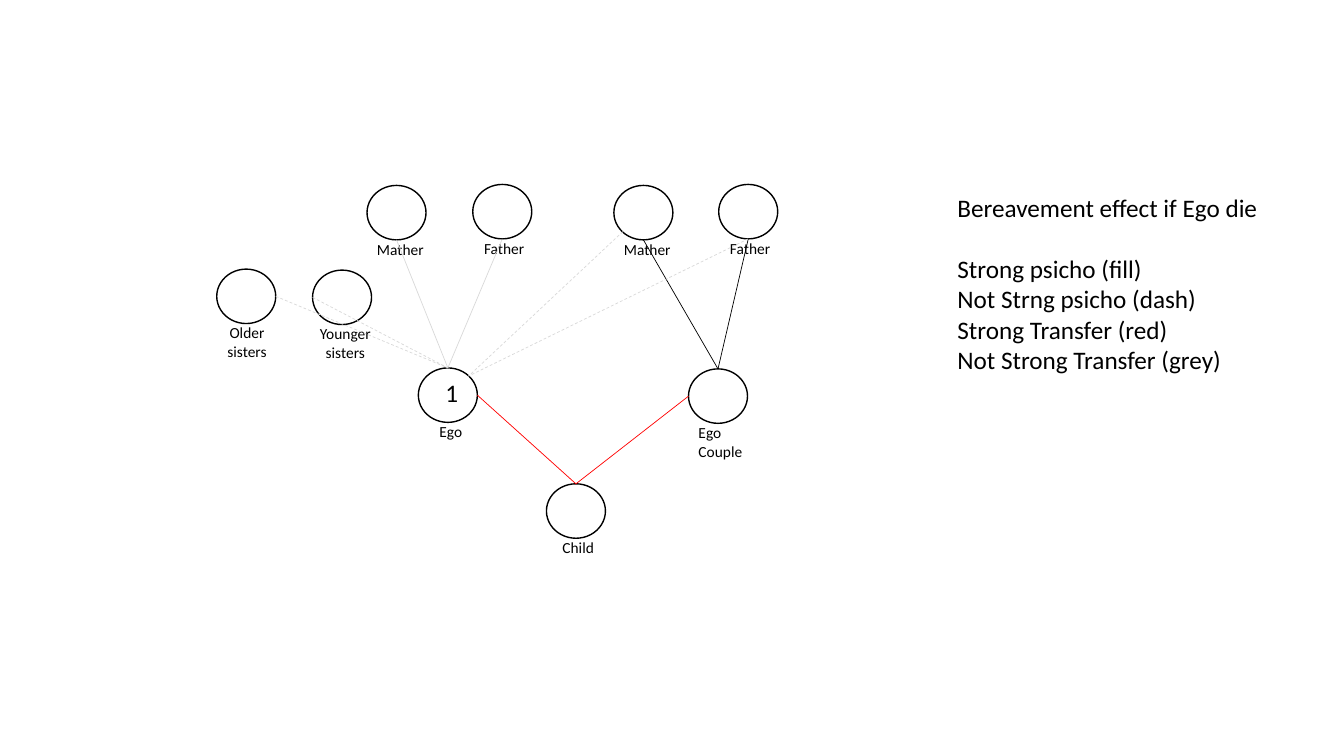
from pptx import Presentation
from pptx.dml.color import RGBColor
from pptx.enum.dml import MSO_LINE
from pptx.enum.shapes import MSO_CONNECTOR, MSO_SHAPE
from pptx.enum.text import MSO_AUTO_SIZE, PP_ALIGN
from pptx.oxml.xmlchemy import OxmlElement
from pptx.util import Inches, Pt

BLACK = RGBColor(0, 0, 0)
WHITE = RGBColor(255, 255, 255)
RED = RGBColor(255, 0, 0)
GREY = RGBColor(0xD9, 0xD9, 0xD9)

deck = Presentation()
deck.slide_width, deck.slide_height = Inches(13.33), Inches(7.5)
slide = deck.slides.add_slide(deck.slide_layouts[6])
shapes = slide.shapes

# Grid of 100 columns by 100 rows
COL, ROW = deck.slide_width / 100, deck.slide_height / 100
RING = (4.39, 7.2)  # circle width in columns, height in rows
DROP = 6.53         # rows from circle top to label top

# Points on a circle, as shares of its width and height
SITES = {"top": (.5, 0), "left": (0, .5), "right": (1, .5), "base": (.5, 1),
         "top right": (.85, .15), "base left": (.15, .85)}

# name: column, row, label, label shift, label width, label rows, style
LEFT, MID = {"alignment": PP_ALIGN.LEFT}, {"alignment": PP_ALIGN.CENTER}
KIN = {
    "ego": (15, 24.27, "Ego", .83, 4.5, 3.87, LEFT),
    "mother": (11.18, .13, "Mather", 0, 5.33, 3.87, LEFT),
    "father": (19.05, 0, "Father", .1, 4.5, 3.87, LEFT),
    "older": (0, 11.2, "Older sisters", 0, 4.5, 6.27, MID),
    "younger": (7.13, 11.33, "Younger sisters", -.53, 5.93, 6.27, MID),
    "child": (24.53, 39.6, "Child", .45, 4.5, 3.87, LEFT),
    "couple": (35.1, 24.4, "Ego Couple", 0, 5.33, 6.27, LEFT),
    "her mother": (29.55, .13, "Mather", 0, 5.33, 3.87, LEFT),
    "her father": (37.35, 0, "Father", .1, 4.5, 3.87, LEFT),
}

# from, site, to, site, colour, dash
TIES = [
    ("ego", "right", "child", "top", RED, None),
    ("father", "base", "ego", "top", GREY, None),
    ("mother", "base", "ego", "top", GREY, None),
    ("her father", "base", "couple", "top", BLACK, None),
    ("her mother", "base", "couple", "top", BLACK, None),
    ("child", "top", "couple", "left", RED, None),
    ("older", "right", "ego", "top", GREY, MSO_LINE.DASH),
    ("younger", "left", "ego", "top", GREY, MSO_LINE.DASH),
    ("her mother", "base left", "ego", "top right", GREY, MSO_LINE.DASH),
    ("her father", "base", "ego", "top right", GREY, MSO_LINE.DASH),
]

LEGEND = ["Bereavement effect if Ego die", "Strong psicho (fill)",
          "Not Strng psicho (dash)", "Strong Transfer (red)",
          "Not Strong Transfer (grey)"]


def place(col, row, wide, high):
    return [int(n) for n in (col * COL, row * ROW, wide * COL, high * ROW)]


def write(box, lines, size, look=LEFT, wrap=True):
    text = shapes.add_textbox(*place(*box))
    frame = text.text_frame
    frame.text = "\n".join(lines)
    for key, value in {"word_wrap": wrap,
                       "auto_size": MSO_AUTO_SIZE.SHAPE_TO_FIT_TEXT}.items():
        setattr(frame, key, value)
    for para in frame.paragraphs:
        for key, value in look.items():
            setattr(para, key, value)
        for run in para.runs:
            run.font.name, run.font.size = "Calibri", Pt(size)
            run.font.color.rgb = BLACK
    return text


def person(col, row, name, shift, wide, high, look):
    # Label under the circle
    label = write((col + shift, row + DROP, wide, high), [name], 11, look)
    if name == "Father":
        label.fill.solid()
        label.fill.fore_color.rgb = WHITE
    # Open circle
    ring = shapes.add_shape(MSO_SHAPE.OVAL, *place(col, row, *RING))
    ring.shadow.inherit = False
    ring.fill.background()
    ring.line.color.rgb, ring.line.width = BLACK, Pt(1)


def tie(start, end, tint, dash):
    line = shapes.add_connector(MSO_CONNECTOR.STRAIGHT, *start, *end)
    line.line.color.rgb, line.line.width = tint, Pt(.5)
    if dash:
        line.line.dash_style = dash
    line._element.spPr.append(OxmlElement("a:effectLst"))


def family(left, top):
    def point(name, site):
        (col, row), (across, down) = KIN[name][:2], SITES[site]
        return place(left + col + across * RING[0],
                     top + row + down * RING[1], 0, 0)[:2]

    # People
    for col, row, *rest in KIN.values():
        person(left + col, top + row, *rest)
    # Number inside the ego circle
    col, row = KIN["ego"][:2]
    write((left + col + 1.28, top + row + .53, 2.18, 5.33), ["1"], 18)
    # Ties between people
    for one, site, two, spot, tint, dash in TIES:
        tie(point(one, site), point(two, spot), tint, dash)


def legend(*box):
    text = write(box, LEGEND, 18, wrap=False)
    # One line of space below the heading
    text.text_frame.paragraphs[1].space_before = Pt(22)


family(16.13, 24.4)
legend(70.5, 24.8, 24.15, 25.6)
deck.save("out.pptx")
